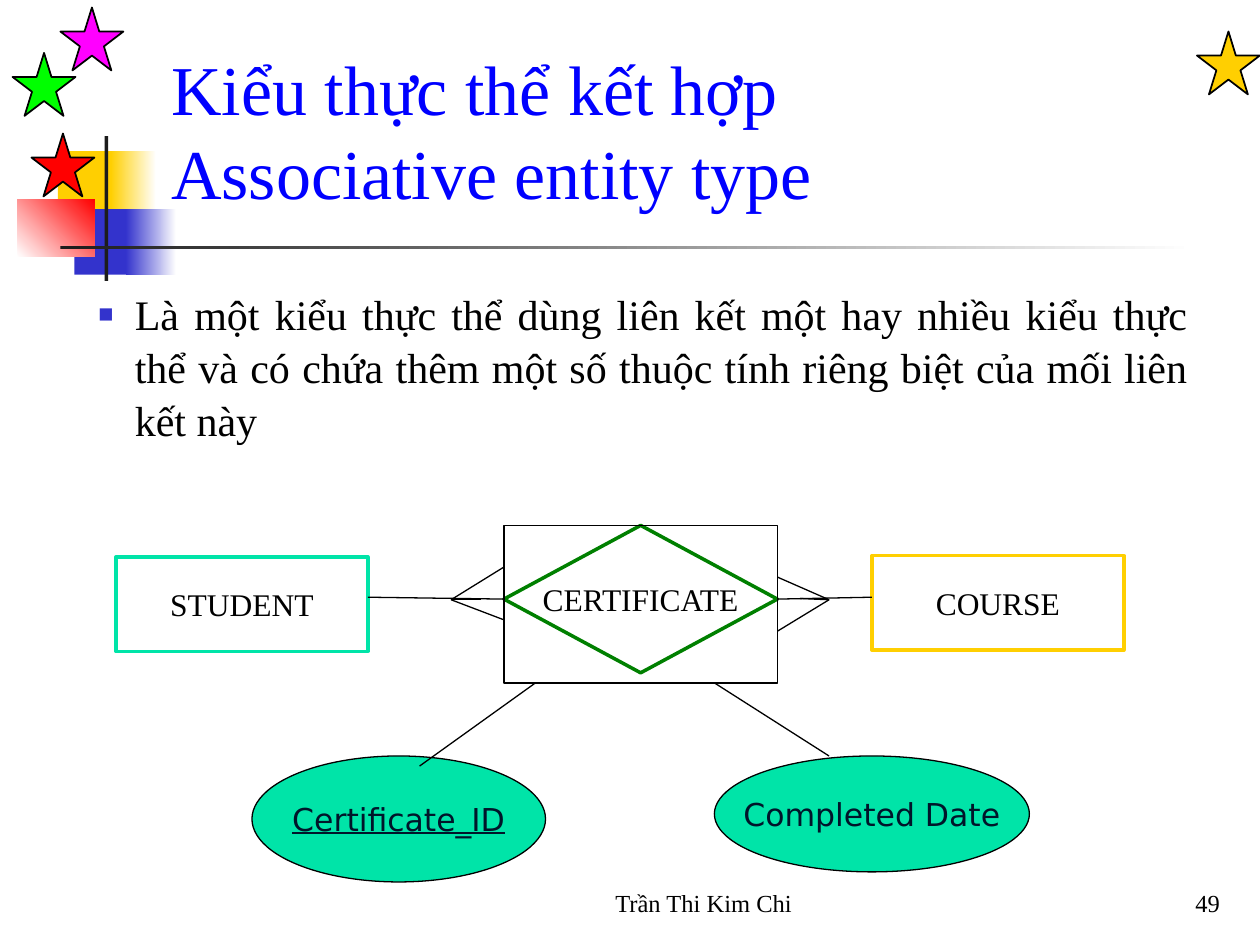
from lxml import etree
from pptx import Presentation
from pptx.dml.color import RGBColor
from pptx.enum.shapes import MSO_CONNECTOR, MSO_SHAPE
from pptx.enum.text import MSO_ANCHOR, MSO_AUTO_SIZE, PP_ALIGN
from pptx.oxml.ns import qn
from pptx.util import Pt

PX = 9144  # 100 px to the inch
SERIF, SANS = "Times New Roman", "DejaVu Sans"
BLACK, WHITE, GOLD, INDIGO = "000000", "FFFFFF", "FFCF01", "3333CC"
RED, CHARCOAL, MINT, NAVY = "FF0000", "1C1C1C", "00E4A8", "00152A"


def px(*lengths):
    return [round(length * PX) for length in lengths]


def rgb(hex_color):
    return RGBColor.from_string(hex_color)


def format_text(frame, size, color, font=SERIF, align=PP_ALIGN.LEFT,
                anchor=MSO_ANCHOR.MIDDLE, wrap=True, underline=None):
    frame.word_wrap = wrap
    frame.auto_size = MSO_AUTO_SIZE.NONE
    frame.vertical_anchor = anchor
    for paragraph in frame.paragraphs:
        paragraph.alignment = align
        for run in paragraph.runs:
            run.font.size = Pt(size)
            run.font.name = font
            run.font.color.rgb = rgb(color)
            run.font.underline = underline


def add_figure(shapes, kind, box, fill=None, line=None, width=0.75):
    """Add a preset shape; a pair of colours as fill makes a gradient."""
    figure = shapes.add_shape(kind, *px(*box))
    figure.shadow.inherit = False
    if fill is None:
        figure.fill.background()
    elif isinstance(fill, tuple):
        figure.fill.gradient()
        figure.fill.gradient_angle = 0
        for stop, color in zip(figure.fill.gradient_stops, fill):
            stop.color.rgb = rgb(color)
    else:
        figure.fill.solid()
        figure.fill.fore_color.rgb = rgb(fill)
    if line:
        figure.line.color.rgb = rgb(line)
        figure.line.width = Pt(width)
    else:
        figure.line.fill.background()
    return figure


def add_line(shapes, start, end):
    line = shapes.add_connector(MSO_CONNECTOR.STRAIGHT, *px(*start, *end))
    line.line.color.rgb = rgb(BLACK)
    line.line.width = Pt(0.75)
    etree.SubElement(line._element.spPr, qn("a:effectLst"))
    return line


def add_emblem(shapes, box):
    """Overlapping colour blocks crossed by a bar and a fading rule."""
    left, top, width, height = box
    blocks = [
        (32, 12, 48, 52, GOLD),
        (74, 12, 36, 52, (GOLD, WHITE)),
        (45, 58, 46, 52, INDIGO),
        (86, 58, 40, 52, (INDIGO, WHITE)),
        (0, 50, 61, 46, (WHITE, RED)),
        (69, 0, 3, height, CHARCOAL),
        (34, 87, width - 34, 3, (CHARCOAL, WHITE)),
    ]
    for x, y, w, h, fill in blocks:
        block = add_figure(shapes, MSO_SHAPE.RECTANGLE,
                           (left + x, top + y, w, h), fill)
        if fill == (WHITE, RED):
            block.fill.gradient_angle = 45


def add_stars(shapes, box):
    left, top, width, _ = box
    size = 50
    for x, y, color in [(width - size, 19, GOLD), (15, 100, RED),
                        (0, 36, "00FF00"), (38, 0, "FF00FF")]:
        add_figure(shapes, MSO_SHAPE.STAR_5_POINT,
                   (left + x, top + y, size, size), color, BLACK, 1)


def place(placeholder, box):
    placeholder.left, placeholder.top, placeholder.width, placeholder.height = px(*box)


def fill_title(title, box):
    place(title, box)
    title.text_frame.text = "Kiểu thực thể kết hợp\vAssociative entity type"
    format_text(title.text_frame, 40, "0000FF")


def fill_body(body, box):
    place(body, box)
    frame = body.text_frame
    frame.text = ("Là một kiểu thực thể dùng liên kết một hay nhiều kiểu thực thể "
                  "và có chứa thêm một số thuộc tính riêng biệt của mối liên kết này")
    format_text(frame, 24, BLACK, align=PP_ALIGN.JUSTIFY, anchor=MSO_ANCHOR.TOP)
    frame.margin_left, frame.margin_top, frame.margin_right, frame.margin_bottom = px(20, 10, 10, 5)
    paragraph = frame.paragraphs[0]
    paragraph.line_spacing = 1.05
    paragraph.space_before = Pt(4.8)
    properties = paragraph._p.get_or_add_pPr()
    indent, = px(29)
    properties.set("marL", str(indent))
    properties.set("indent", str(-indent))
    bullet_color = etree.SubElement(properties, qn("a:buClr"))
    etree.SubElement(bullet_color, qn("a:srgbClr"), val=INDIGO)
    etree.SubElement(properties, qn("a:buSzPct"), val="60000")
    etree.SubElement(properties, qn("a:buFont"), typeface=SERIF)
    etree.SubElement(properties, qn("a:buChar"), char="■")


def add_node(shapes, kind, box, label, fill, line, width=0.75,
             color=BLACK, font=SERIF, underline=None):
    node = add_figure(shapes, kind, box, fill, line, width)
    node.text_frame.text = label
    format_text(node.text_frame, 18, color, font, PP_ALIGN.CENTER,
                wrap=False, underline=underline)
    return node


def add_crows_foot(shapes, tip, entity_x, toes, middle):
    foot = shapes.add_group_shape().shapes
    for end in [(entity_x, toes[0]), middle, (entity_x, toes[1])]:
        add_line(foot, tip, end)


def add_diagram(shapes, box):
    left, top, _, _ = box

    def at(x, y, *size):
        return (left + x, top + y, *size)

    for x, y, label, color in [(0, 25, "STUDENT", MINT), (600, 24, "COURSE", GOLD)]:
        add_node(shapes, MSO_SHAPE.RECTANGLE, at(x, y, 200, 75), label, WHITE, color, 2)
    certificate = add_node(shapes, MSO_SHAPE.DIAMOND, at(308, 0, 217, 117),
                           "CERTIFICATE", WHITE, "008000", 2)
    add_line(shapes, at(200, 57), at(308, 58)).end_connect(certificate, 1)
    add_line(shapes, at(525, 58), at(600, 57)).begin_connect(certificate, 3)
    add_figure(shapes, MSO_SHAPE.RECTANGLE, at(308, 0, 217, 125), line=BLACK)

    add_crows_foot(shapes, at(566, 59), left + 525, (top + 41, top + 84), at(543, 58))
    add_crows_foot(shapes, at(266, 59), left + 308, (top + 33, top + 75), at(290, 59))

    for x, width, height, label, underline in [
            (108, 233, 100, "Certificate_ID", True),
            (475, 250, 92, "Completed Date", None)]:
        add_node(shapes, MSO_SHAPE.OVAL, at(x, 183, width, height), label,
                 MINT, BLACK, color=NAVY, font=SANS, underline=underline)
    add_line(shapes, at(333, 125), at(241, 191))
    add_line(shapes, at(475, 125), at(566, 183))


def add_footer(shapes, box):
    left, top, width, height = box
    for x, w, text, align in [(0, 317, "Trần Thi Kim Chi", PP_ALIGN.CENTER),
                              (width - 208, 208, "49", PP_ALIGN.RIGHT)]:
        note = shapes.add_textbox(*px(left + x, top, w, height))
        note.text_frame.text = text
        format_text(note.text_frame, 14, BLACK, align=align, anchor=MSO_ANCHOR.BOTTOM)


def main():
    deck = Presentation()
    deck.slide_width, deck.slide_height = px(1000, 750)
    slide = deck.slides.add_slide(deck.slide_layouts[1])
    shapes = slide.shapes
    add_emblem(shapes, (14, 108, 934, 115))
    add_stars(shapes, (10, 6, 990, 150))
    fill_title(shapes.title, (126, 23, 852, 160))
    fill_body(slide.placeholders[1], (58, 217, 895, 458))
    add_diagram(shapes, (92, 417, 800, 283))
    add_footer(shapes, (400, 683, 578, 50))
    deck.save("out.pptx")


if __name__ == "__main__":
    main()
